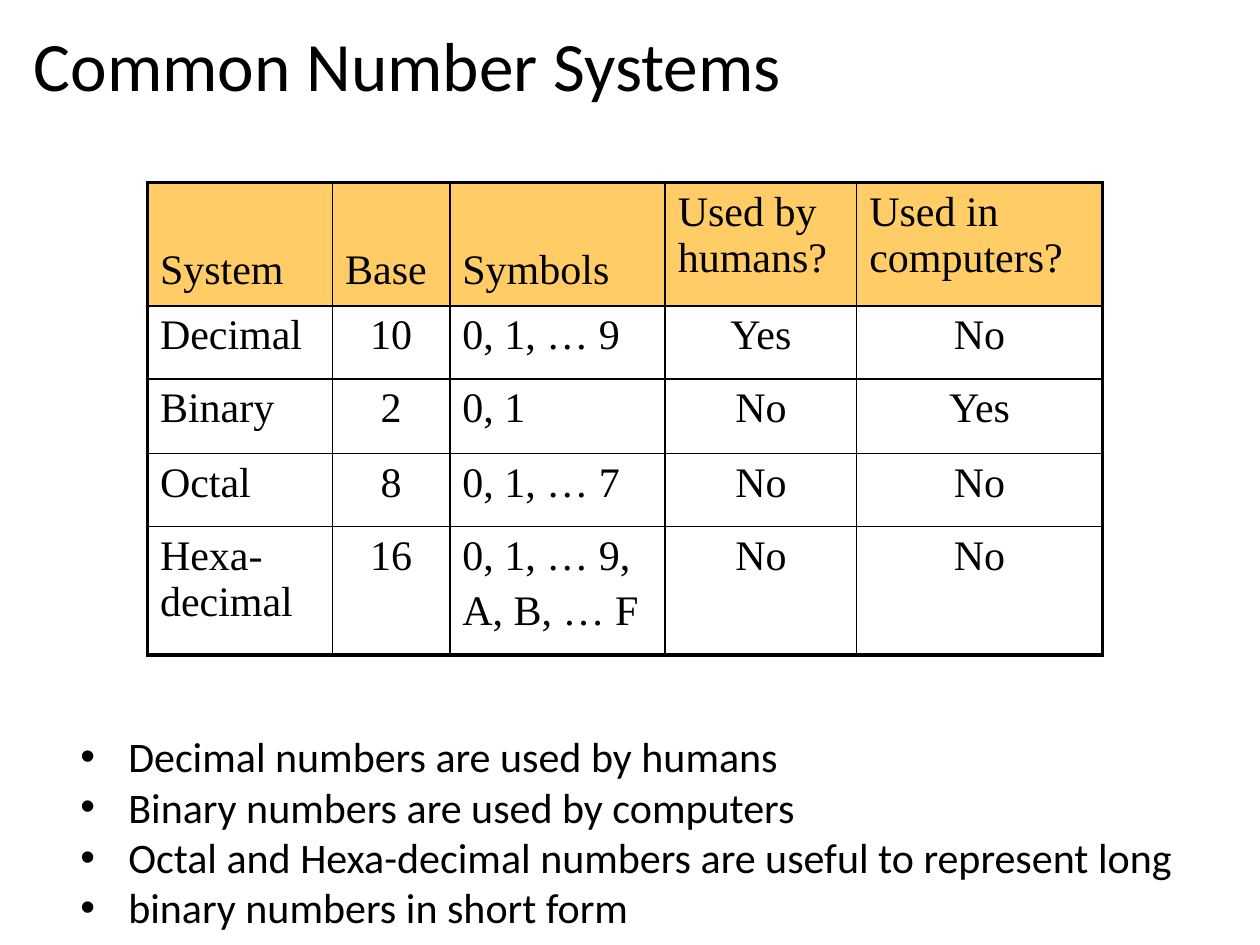
from lxml import etree
from pptx import Presentation
from pptx import util as u
from pptx.dml.color import RGBColor
from pptx.enum import text as t
from pptx.oxml import ns

HUES = {"ink": "000000", "head": "FFCC66", "page": "FFFFFF"}
COLS = [1.47, 0.93, 1.71, 1.52, 1.95]
HIGH = [0.98, 0.58, 0.59, 0.58, 1.02]
ROWS = [
    ["System", "Base", "Symbols", "Used by humans?", "Used in computers?"],
    ["Decimal", "10", "0, 1, … 9", "Yes", "No"],
    ["Binary", "2", "0, 1", "No", "Yes"],
    ["Octal", "8", "0, 1, … 7", "No", "No"],
    ["Hexa-\vdecimal", "16", "0, 1, … 9,\nA, B, … F", "No", "No"],
]
FACTS = [
    "Decimal numbers are used by humans",
    "Binary numbers are used by computers",
    "Octal and Hexa-decimal numbers are useful to represent long",
    "binary numbers in short form",
]


def rgb(name):
    return RGBColor.from_string(HUES[name])


def node(top, tag, **attrs):
    item = etree.SubElement(top, ns.qn(tag))
    for key, val in attrs.items():
        item.set(key, str(val))
    return item


def write(frame, words, size=24, face="Calibri", hue="ink",
          align=t.PP_ALIGN.LEFT, gap=0, lead=None, bullet=False):
    frame.word_wrap = True
    for i, line in enumerate(words.split("\n")):
        para = frame.paragraphs[0] if i == 0 else frame.add_paragraph()
        para.text = line
        para.alignment = align
        if i and gap:
            para.space_before = u.Pt(gap)
        if lead:
            para.line_spacing = lead
        if bullet:
            props = para._p.get_or_add_pPr()
            props.set("marL", str(u.Inches(0.38)))
            props.set("indent", str(-u.Inches(0.38)))
            node(props, "a:buFont", typeface="Arial")
            node(props, "a:buChar", char="•")
        for run in para.runs:
            run.font.size = u.Pt(size)
            run.font.name = face
            run.font.color.rgb = rgb(hue)


def label(slide, box, words, anchor=t.MSO_ANCHOR.TOP, **style):
    frame = slide.shapes.add_textbox(*map(u.Inches, box)).text_frame
    frame.vertical_anchor = anchor
    write(frame, words, **style)


def edge(cell, side, width):
    line = node(cell._tc.get_or_add_tcPr(), "a:ln" + side, w=u.Pt(width))
    node(node(line, "a:solidFill"), "a:srgbClr", val=HUES["ink"])


def grid(slide, left, top):
    size = len(ROWS), len(COLS)
    box = left, top, sum(COLS), sum(HIGH)
    table = slide.shapes.add_table(*size, *map(u.Inches, box)).table
    table.first_row = table.horz_banding = False
    for col, width in zip(table.columns, COLS):
        col.width = u.Inches(width)
    for r, words in enumerate(ROWS):
        table.rows[r].height = u.Inches(HIGH[r])
        for c, word in enumerate(words):
            cell = table.cell(r, c)
            outer = {"L": c == 0, "R": c == size[1] - 1,
                     "T": r == 0, "B": r == size[0] - 1}
            for side, thick in outer.items():
                edge(cell, side, 2.25 if thick else 1)
            cell.fill.solid()
            cell.fill.fore_color.rgb = rgb("page" if r else "head")
            if r == 0 and c < 3:
                cell.vertical_anchor = t.MSO_ANCHOR.BOTTOM
                cell.margin_bottom = u.Inches(0.1)
            mid = r > 0 and c in (1, 3, 4)
            write(cell.text_frame, word, face="Times New Roman", gap=4.8,
                  align=t.PP_ALIGN.CENTER if mid else t.PP_ALIGN.LEFT)


def main():
    deck = Presentation()
    deck.slide_width, deck.slide_height = u.Inches(10), u.Inches(7.5)
    slide = deck.slides.add_slide(deck.slide_layouts[6])
    label(slide, (0.17, 0.18, 9.62, 0.74), "Common Number Systems",
          anchor=t.MSO_ANCHOR.MIDDLE, size=39.6, lead=0.9)
    grid(slide, 1.17, 1.45)
    label(slide, (0.54, 5.75, 9.02, 1.72), "\n".join(FACTS), bullet=True)
    deck.save("out.pptx")


main()
